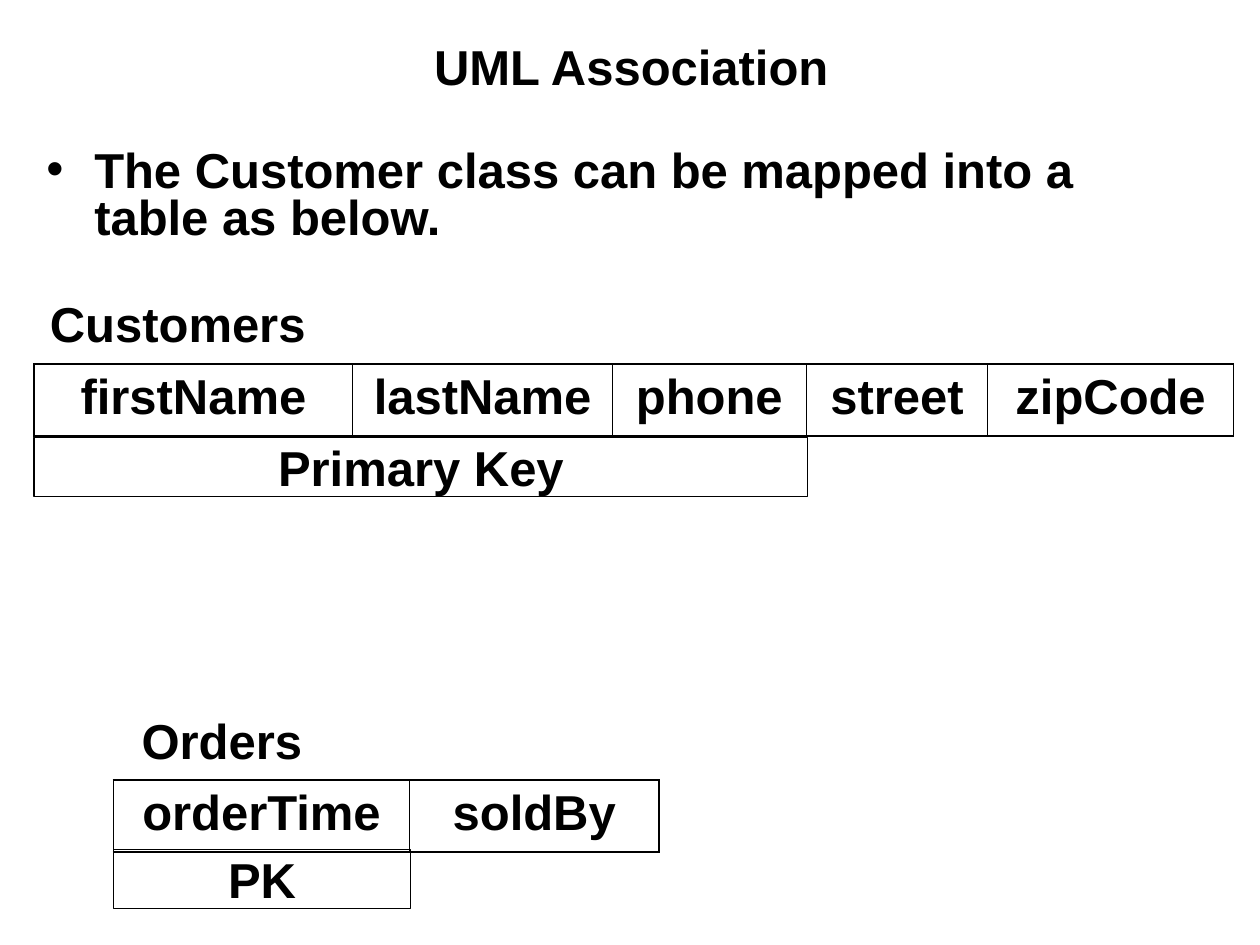
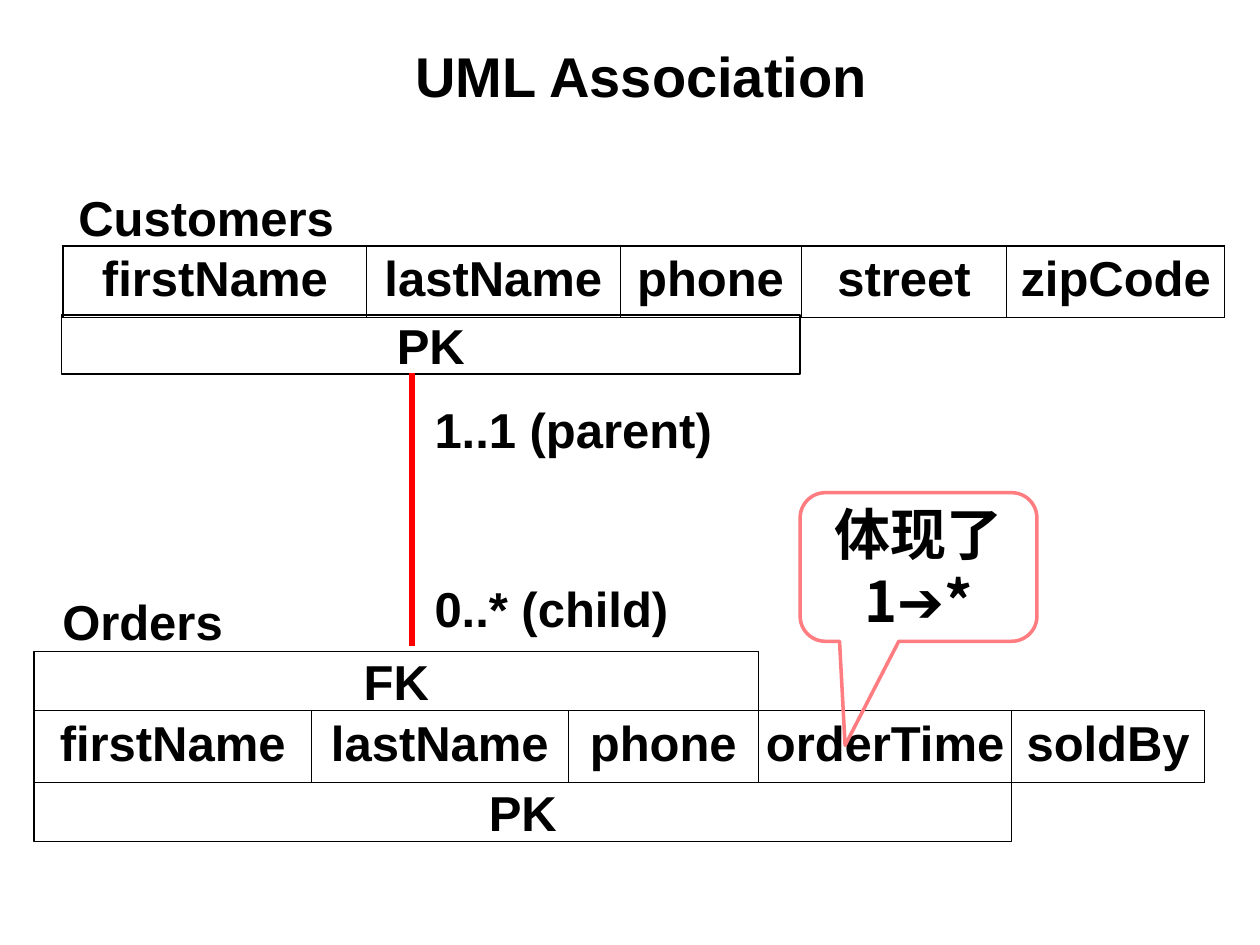
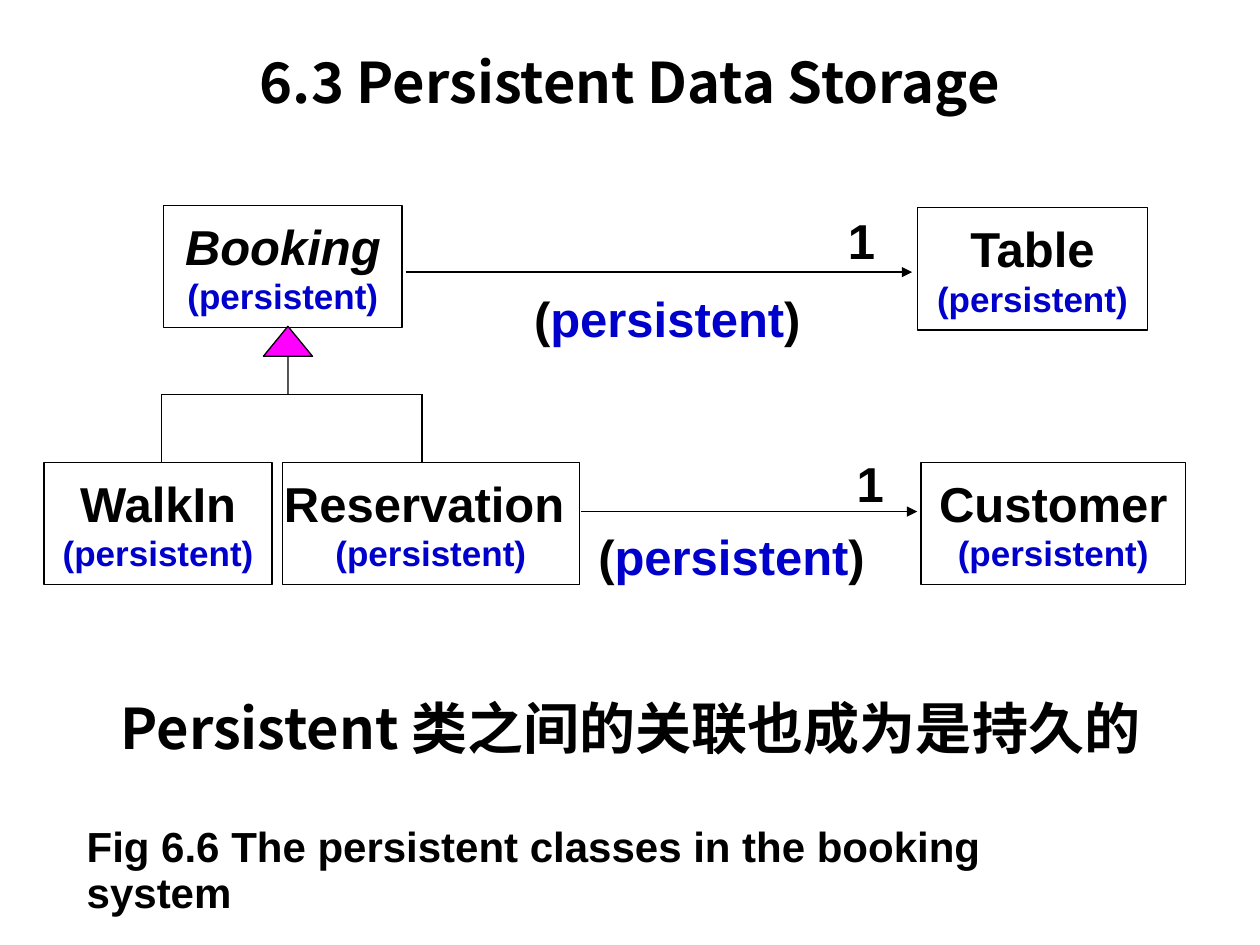
from lxml import etree
from pptx import Presentation
from pptx.dml.color import RGBColor
from pptx.enum.shapes import MSO_CONNECTOR, MSO_SHAPE as SHAPE
from pptx.enum.text import MSO_ANCHOR as ANCHOR, PP_ALIGN as ALIGN
from pptx.oxml.ns import qn
from pptx.util import Pt

PX = 9144  # 100 px to the inch
BLACK = RGBColor(0x00, 0x00, 0x00)
WHITE = RGBColor(0xFF, 0xFF, 0xFF)
BLUE = RGBColor(0x00, 0x00, 0xCC)
RED = RGBColor(0xFF, 0x00, 0x00)
PINK = RGBColor(0xFF, 0x7C, 0x80)
MAGENTA = RGBColor(0xFF, 0x00, 0xFF)
LATIN, CJK = "Arial", "Noto Sans CJK SC"
BASE = {"name": LATIN, "size": Pt(28), "bold": True}
BIG = {"size": Pt(32)}
BIG_CJK = {"size": Pt(32), "name": CJK}
SMALL_BLUE = {"size": Pt(20), "color": BLUE}
THIN, OUTER, INNER = 0.75, 1.08, 0.45


def write(frame, lines, align=ALIGN.CENTER):
    """Fill a text frame; each line is a list of (text, format) runs."""
    for number, runs in enumerate(lines):
        paragraph = frame.add_paragraph() if number else frame.paragraphs[0]
        paragraph.alignment = align
        for text, changes in runs:
            run = paragraph.add_run()
            run.text = text
            look = {**BASE, **changes}
            run.font.color.rgb = look.pop("color", BLACK)
            for name, value in look.items():
                setattr(run.font, name, value)
            etree.SubElement(run.font._element, qn("a:ea"), typeface=look["name"])


def add_box(slide, place, lines, kind=None, fill=None, line=None, width=THIN,
            align=ALIGN.CENTER, anchor=ANCHOR.MIDDLE, wrap=False):
    """Add a text box, or a preset shape when a kind is given."""
    place = [length * PX for length in place]
    if kind is None:
        box = slide.shapes.add_textbox(*place)
    else:
        box = slide.shapes.add_shape(kind, *place)
        box.shadow.inherit = False
    if fill is None:
        box.fill.background()
    else:
        box.fill.solid()
        box.fill.fore_color.rgb = fill
    if line is None:
        box.line.fill.background()
    else:
        box.line.color.rgb = line
        box.line.width = Pt(width)
    box.text_frame.word_wrap = wrap
    box.text_frame.vertical_anchor = anchor
    write(box.text_frame, lines, align)
    return box


deck = Presentation()
deck.slide_width, deck.slide_height = 1000 * PX, 750 * PX
mapping, keys, storage = [deck.slides.add_slide(deck.slide_layouts[6]) for _ in range(3)]

# Titles
for slide, place, title, look in [
    (mapping, (51, 21, 900, 63), "UML Association", {}),
    (keys, (59, 28, 900, 63), "UML Association", BIG),
    (storage, (50, 30, 900, 69), "6.3 Persistent Data Storage", BIG_CJK),
]:
    add_box(slide, place, [[(title, look)]], wrap=True)

# Relational tables, one row of column names each
for slide, left, top, columns in [
    (mapping, 27, 289, {"firstName": 253, "lastName": 206, "phone": 154, "street": 144, "zipCode": 195}),
    (mapping, 90, 619, {"orderTime": 235, "soldBy": 198}),
    (keys, 50, 195, {"firstName": 241, "lastName": 201, "phone": 144, "street": 163, "zipCode": 173}),
    (keys, 27, 564, {"firstName": 220, "lastName": 204, "phone": 151, "orderTime": 201, "soldBy": 153}),
]:
    table = slide.shapes.add_table(1, len(columns), left * PX, top * PX,
                                   sum(columns.values()) * PX, 57 * PX).table
    table.first_row = table.horz_banding = False
    for number, (field, width) in enumerate(columns.items()):
        table.columns[number].width = width * PX
        cell = table.cell(0, number)
        cell.margin_left = cell.margin_right = 2 * PX
        cell.margin_top = cell.margin_bottom = 5 * PX
        cell.fill.background()
        write(cell.text_frame, [[(field, {})]])
        borders = {"a:lnL": INNER if number else OUTER,
                   "a:lnR": INNER if number < len(columns) - 1 else OUTER,
                   "a:lnT": OUTER, "a:lnB": OUTER}
        for order, (side, weight) in enumerate(borders.items()):
            border = etree.Element(qn(side), w=str(Pt(weight)))
            ink = etree.SubElement(border, qn("a:solidFill"))
            etree.SubElement(ink, qn("a:srgbClr"), val=str(BLACK))
            cell._tc.tcPr.insert(order, border)

# Table names
for slide, place, name in [
    (mapping, (27, 225, 228, 63), "Customers "),
    (mapping, (90, 556, 183, 63), "Orders "),
    (keys, (49, 153, 240, 39), "Customers "),
    (keys, (20, 469, 197, 47), "Orders "),
]:
    add_box(slide, place, [[(name, {})]])

# Key bars
for slide, left, top, width, key in [
    (mapping, 27, 347, 614, "Primary Key"),
    (mapping, 90, 674, 236, "PK"),
    (keys, 49, 250, 586, "PK"),
    (keys, 27, 621, 776, "PK"),
    (keys, 27, 517, 575, "FK"),
]:
    add_box(slide, (left, top, width, 47), [[(key, {})]], SHAPE.RECTANGLE, line=BLACK)

# Slide 1: bulleted statement
statement = add_box(mapping, (27, 115, 900, 87),
                    [[("The Customer class can be mapped into a table as below.", {})]],
                    align=ALIGN.LEFT, anchor=ANCHOR.TOP, wrap=True).text_frame.paragraphs[0]
statement.line_spacing = 0.8
bullet_props = statement._p.get_or_add_pPr()
bullet_props.set("marL", str(38 * PX))
bullet_props.set("indent", str(-38 * PX))
etree.SubElement(bullet_props, qn("a:buFont"), typeface=LATIN)
etree.SubElement(bullet_props, qn("a:buChar"), char="•")

# Slide 2: multiplicities and callout
multiplicity = add_box(keys, (335, 312, 331, 199),
                       [[("1..1 (parent)", {})], [("0..* (child)", {})]],
                       align=ALIGN.LEFT, anchor=ANCHOR.TOP, wrap=True)
multiplicity.text_frame.paragraphs[1].space_before = Pt(69)
callout = add_box(keys, (635, 391, 188, 118),
                  [[("体现了", BIG_CJK)], [("1", BIG_CJK), ("➔", BIG), ("*", BIG_CJK)]],
                  SHAPE.ROUNDED_RECTANGULAR_CALLOUT, line=PINK, width=2, wrap=True)
for number, value in enumerate((-0.31, 1.2, 0.17)):
    callout.adjustments[number] = value

# Slide 3: persistent classes
for place, name, look in [
    ((130, 163, 189, 97), "Booking", {"italic": True}),
    ((224, 367, 236, 97), "Reservation ", {}),
    ((35, 367, 181, 97), "WalkIn", {}),
    ((728, 165, 183, 97), "Table", {}),
    ((731, 367, 210, 97), "Customer", {}),
]:
    add_box(storage, place, [[(name, look)], [("(persistent)", SMALL_BLUE)]],
            SHAPE.RECTANGLE, fill=WHITE, line=BLACK)

# Slide 3: generalization arrow
generalization = add_box(storage, (209, 259, 39, 54), [], SHAPE.UP_ARROW, fill=MAGENTA, line=BLACK)
generalization.adjustments[0] = 0
generalization.adjustments[1] = 0.61

# Slide 3: association labels
for left, top in [(663, 162), (670, 355)]:
    add_box(storage, (left, top, 42, 57), [[("1", {})]],
            align=ALIGN.LEFT, anchor=ANCHOR.TOP, wrap=True)
for left, top in [(414, 224), (465, 413)]:
    add_box(storage, (left, top, 231, 57),
            [[("(", {}), ("persistent", {"color": BLUE}), (")", {})]],
            SHAPE.RECTANGLE, fill=WHITE, align=ALIGN.LEFT, anchor=ANCHOR.TOP)

# Slide 3: remark and caption
remark = add_box(storage, (43, 556, 915, 63),
                 [[("Persistent 类之间的关联也成为是持久的", BIG_CJK)]],
                 anchor=ANCHOR.TOP, wrap=True)
remark.text_frame.paragraphs[0].line_spacing = 0.8
caption = add_box(storage, (59, 651, 853, 46),
                  [[("Fig 6.6 The persistent classes in the booking system", {"size": Pt(24)})]],
                  align=ALIGN.LEFT, anchor=ANCHOR.TOP)
caption.text_frame.paragraphs[0].line_spacing = 0.9

# Relation lines
for slide, ends, color, weight, has_arrow in [
    (keys, (327, 296, 327, 513), RED, 3, False),
    (storage, (128, 313, 335, 313), BLACK, THIN, False),
    (storage, (128, 313, 128, 367), BLACK, THIN, False),
    (storage, (335, 313, 335, 367), BLACK, THIN, False),
    (storage, (322, 216, 724, 216), BLACK, THIN, True),
    (storage, (461, 406, 728, 406), BLACK, THIN, True),
]:
    relation = slide.shapes.add_connector(MSO_CONNECTOR.STRAIGHT, *[end * PX for end in ends])
    relation.line.color.rgb = color
    relation.line.width = Pt(weight)
    if has_arrow:
        etree.SubElement(relation.line._get_or_add_ln(), qn("a:tailEnd"), type="triangle")
    etree.SubElement(relation._element.spPr, qn("a:effectLst"))

deck.save("out.pptx")
